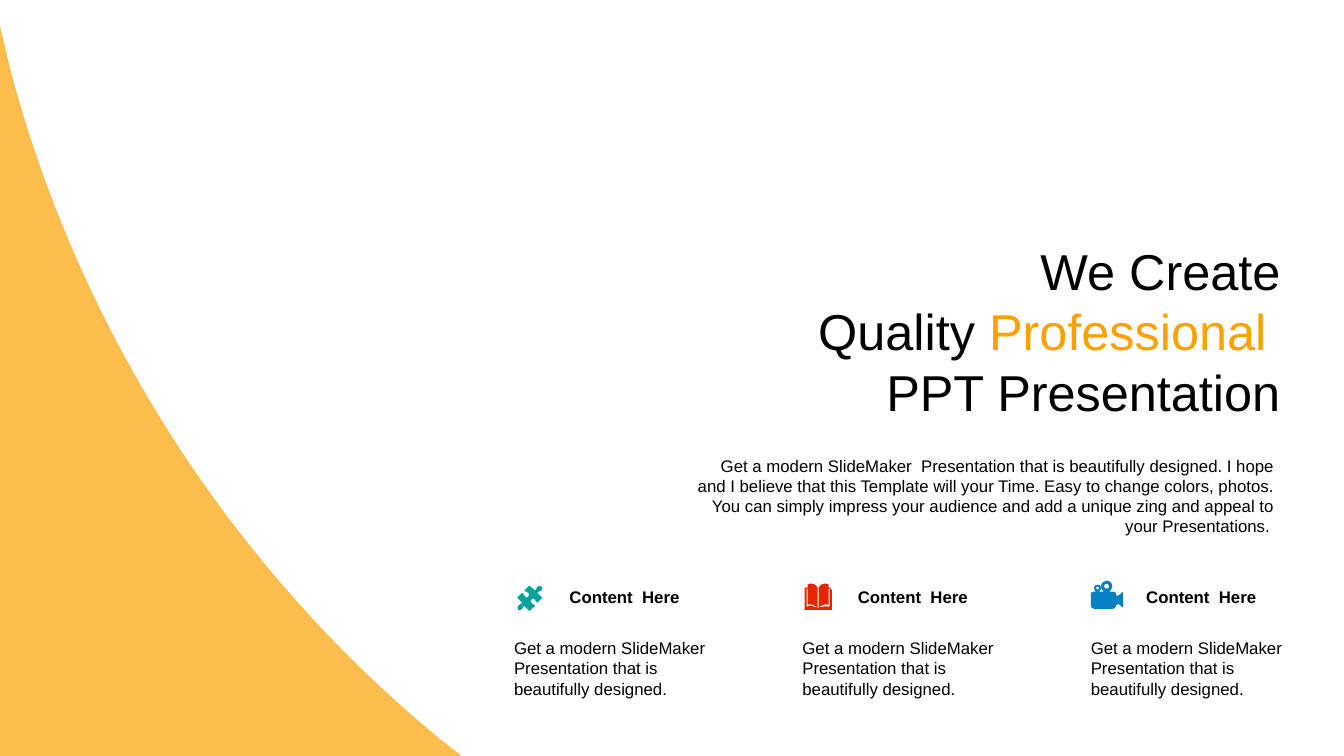
from dataclasses import dataclass

from lxml import etree
from pptx import Presentation
from pptx import util as u
from pptx.dml.color import RGBColor
from pptx.enum import shapes, text
from pptx.oxml import ns

FONT = "Arial"
BLACK, WHITE, ORANGE = "000000", "FFFFFF", "FBA200"
TEAL, RED, BLUE = "07A398", "E62601", "0680C3"

# Outlines in hundredths of an inch: one string per contour, segments split
# by commas; two numbers make a line, six numbers a Bezier curve.
SWEEP = ["0 26, 11 72, 80 329 228 561 435 732, 458 750, 0 750"]
PUZZLE = [
    "37 16, 38 17 38 18 37 20, 36 21 34 20 33 22, 38 27, 33 32, "
    "31 31 32 30 30 28, 29 27 28 28 27 29, 26 29 26 31 27 32, "
    "29 34 29 33 31 35, 25 40, 20 35, 18 36 19 37 18 38, "
    "17 40 15 39 14 39, 13 38 13 36 14 35, 15 33 17 34 18 32, 13 27, "
    "18 22, 20 23 19 25 21 26, 22 27 23 27 24 26, 25 25 25 23 24 22, "
    "23 21 22 22 20 20, 25 15, 31 20, 33 18 31 18 33 16, 34 15 36 15 37 16"
]
BOOK = [
    "25 37, 26 37, 30 36 33 35 37 36, 37 18, 36 18, 36 34, "
    "33 33 29 34 26 37, 26 17, 28 14 30 13 32 13, 33 13 35 13 36 14, "
    "36 17, 38 17, 38 19, 39 19, 39 39, 12 39, 12 17, 15 17, 15 14, "
    "16 13 18 13 19 13, 21 13 23 14 25 17, 25 37, 22 34 18 33 15 34, "
    "15 18, 14 18, 14 36, 18 34 21 36 25 37"
]
CAMERA = [
    "17 16, 16 16 15 17 15 17, 15 18 16 19 17 19, 17 19 18 18 18 17, "
    "18 17 17 16 17 16",
    "26 13, 24 13 23 14 23 16, 23 17 24 18 26 18, 27 18 28 17 28 16, "
    "28 14 27 13 26 13",
    "26 10, 29 10 31 12 31 16, 31 18 30 20 28 21, 32 21, 33 21 35 22 35 23, "
    "35 25, 37 25, 42 21, 42 37, 37 33, 37 33 37 34 36 34, 35 34, 35 35, "
    "35 36 33 38 32 38, 13 38, 11 38 10 36 10 35, 10 23, 10 22 11 21 13 21, "
    "15 21, 14 20 13 19 13 17, 13 15 15 14 17 14, 19 14 20 15 20 17, "
    "20 19 19 20 18 21, 23 21, 21 20 20 18 20 16, 20 12 23 10 26 10",
]


@dataclass
class Card:
    heading: str
    body: str
    icon: list[str]
    color: str


BODY = "Get a modern SlideMaker  Presentation that is beautifully designed."
CARDS = [
    Card("Content  Here", BODY, PUZZLE, TEAL),
    Card("Content  Here", BODY, BOOK, RED),
    Card("Content  Here", BODY, CAMERA, BLUE),
]
CARD_LEFT, CARD_TOP, CARD_PITCH, PLATE = 5.0, 5.66, 2.86, 0.51


def rgb(color: str) -> RGBColor:
    return RGBColor.from_string(color)


def paint(sp, color: str) -> None:
    sp.shadow.inherit = False
    sp.fill.solid()
    sp.fill.fore_color.rgb = rgb(color)
    sp.line.fill.background()


def segments(contour: str) -> list[list[int]]:
    return [[int(v) * u.Inches(0.01) for v in part.split()]
            for part in contour.split(",")]


def add_outline(s, contours: list[str], color: str, left: float = 0, top: float = 0):
    """Join the segment ends, then bend the lines that have control points."""
    parsed = [segments(c) for c in contours]
    builder = s.shapes.build_freeform(*parsed[0][0])
    for i, (start, *rest) in enumerate(parsed):
        if i:
            builder.move_to(*start)
        builder.add_line_segments([n[-2:] for n in rest], close=True)
    sp = builder.convert_to_shape(u.Inches(left), u.Inches(top))
    dx, dy = sp.left - u.Inches(left), sp.top - u.Inches(top)
    lines = list(sp.element.iter(ns.qn("a:lnTo")))
    for line, n in zip(lines, [n for c in parsed for n in c[1:]]):
        if len(n) == 6:
            curve = etree.Element(ns.qn("a:cubicBezTo"))
            for x, y in zip(n[::2], n[1::2]):
                etree.SubElement(curve, ns.qn("a:pt"), x=str(x - dx), y=str(y - dy))
            line.getparent().replace(line, curve)
    paint(sp, color)
    return sp


def style(r, size: int, color: str, bold: bool = False) -> None:
    r.font.name = FONT
    r.font.size = u.Pt(size)
    r.font.bold = bold
    r.font.color.rgb = rgb(color)


def add_text(s, words: str, left: float, top: float, width: float, height: float,
             size: int = 12, bold: bool = False, right: bool = False):
    sp = s.shapes.add_textbox(*map(u.Inches, (left, top, width, height)))
    tf = sp.text_frame
    tf.word_wrap = True
    tf.auto_size = text.MSO_AUTO_SIZE.SHAPE_TO_FIT_TEXT
    tf.text = words
    for p in tf.paragraphs:
        p.alignment = text.PP_ALIGN.RIGHT if right else text.PP_ALIGN.LEFT
        for r in p.runs:
            style(r, size, BLACK, bold)
    return tf


def add_card(s, card: Card, left: float) -> None:
    plate = s.shapes.add_shape(shapes.MSO_SHAPE.OVAL,
                               *map(u.Inches, (left, CARD_TOP, PLATE, PLATE)))
    paint(plate, WHITE)
    add_text(s, card.heading, left + 0.55, CARD_TOP + 0.11, 1.46, 0.3, bold=True)
    add_text(s, card.body, left, CARD_TOP + 0.62, 2.21, 0.71)
    add_outline(s, card.icon, card.color, left, CARD_TOP)


def main() -> None:
    prs = Presentation()
    prs.slide_width, prs.slide_height = u.Inches(13.33), u.Inches(7.5)
    s = prs.slides.add_slide(prs.slide_layouts[6])

    # Translucent sweep on the left
    sweep = add_outline(s, SWEEP, ORANGE)
    fill_color = next(sweep.element.iter(ns.qn("a:srgbClr")))
    etree.SubElement(fill_color, ns.qn("a:alpha"), val="70000")

    # Title with a highlighted word
    tf = add_text(s, "We Create\nQuality \nPPT Presentation",
                  6.82, 2.37, 5.92, 1.82, size=36, right=True)
    tf.vertical_anchor = text.MSO_ANCHOR.MIDDLE
    tf.margin_left = tf.margin_right = u.Inches(0.04)
    tf.margin_top = tf.margin_bottom = 0
    r = tf.paragraphs[1].add_run()
    r.text = "Professional "
    style(r, 36, ORANGE)

    # Introduction
    add_text(s, "Get a modern SlideMaker  Presentation that is beautifully designed. "
             "I hope and I believe that this Template will your Time. Easy to change "
             "colors, photos. You can simply impress your audience and add a unique "
             "zing and appeal to your Presentations. ",
             6.82, 4.47, 5.92, 0.91, right=True)

    # Three content cards
    for i, card in enumerate(CARDS):
        add_card(s, card, CARD_LEFT + i * CARD_PITCH)

    prs.save("out.pptx")


if __name__ == "__main__":
    main()
